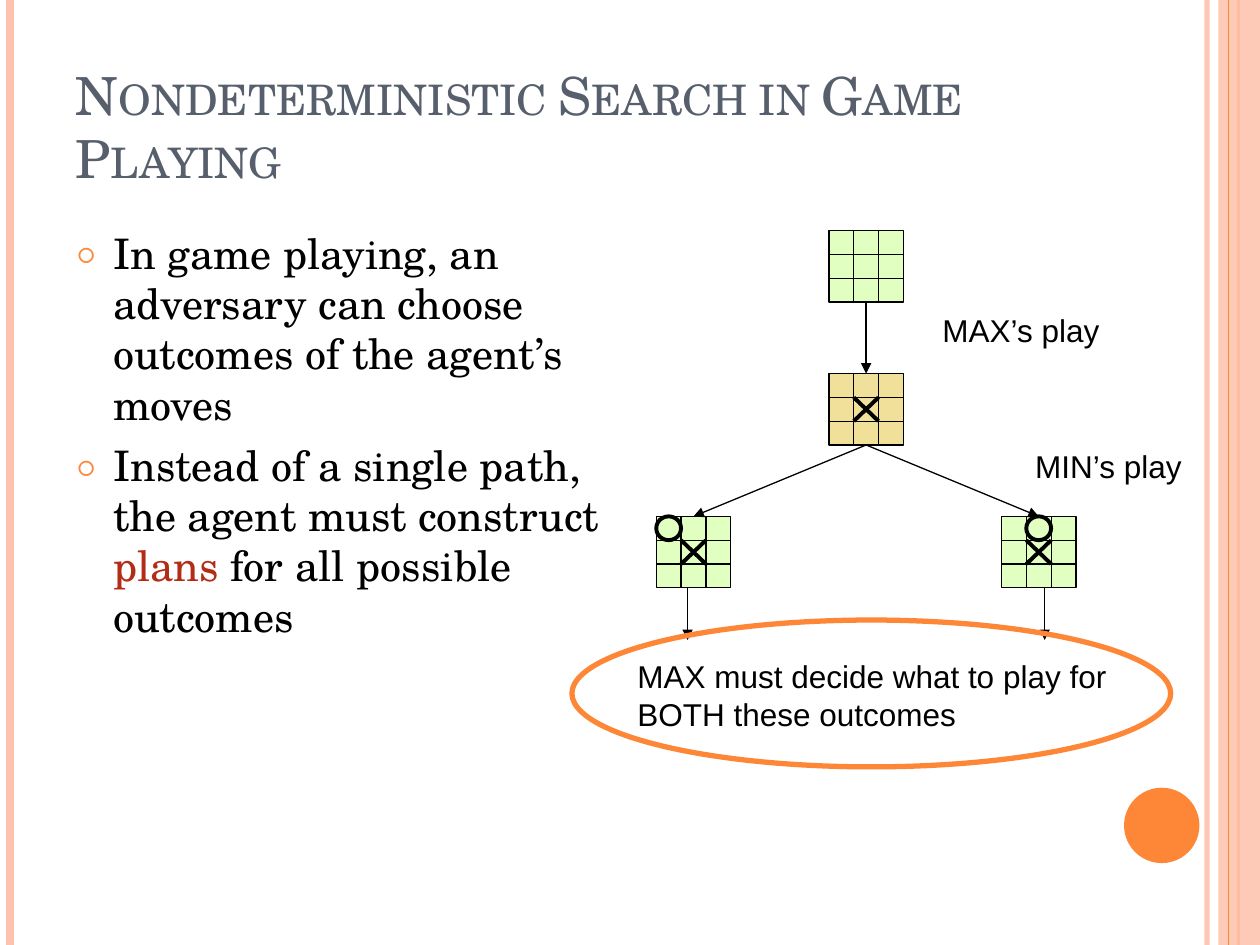
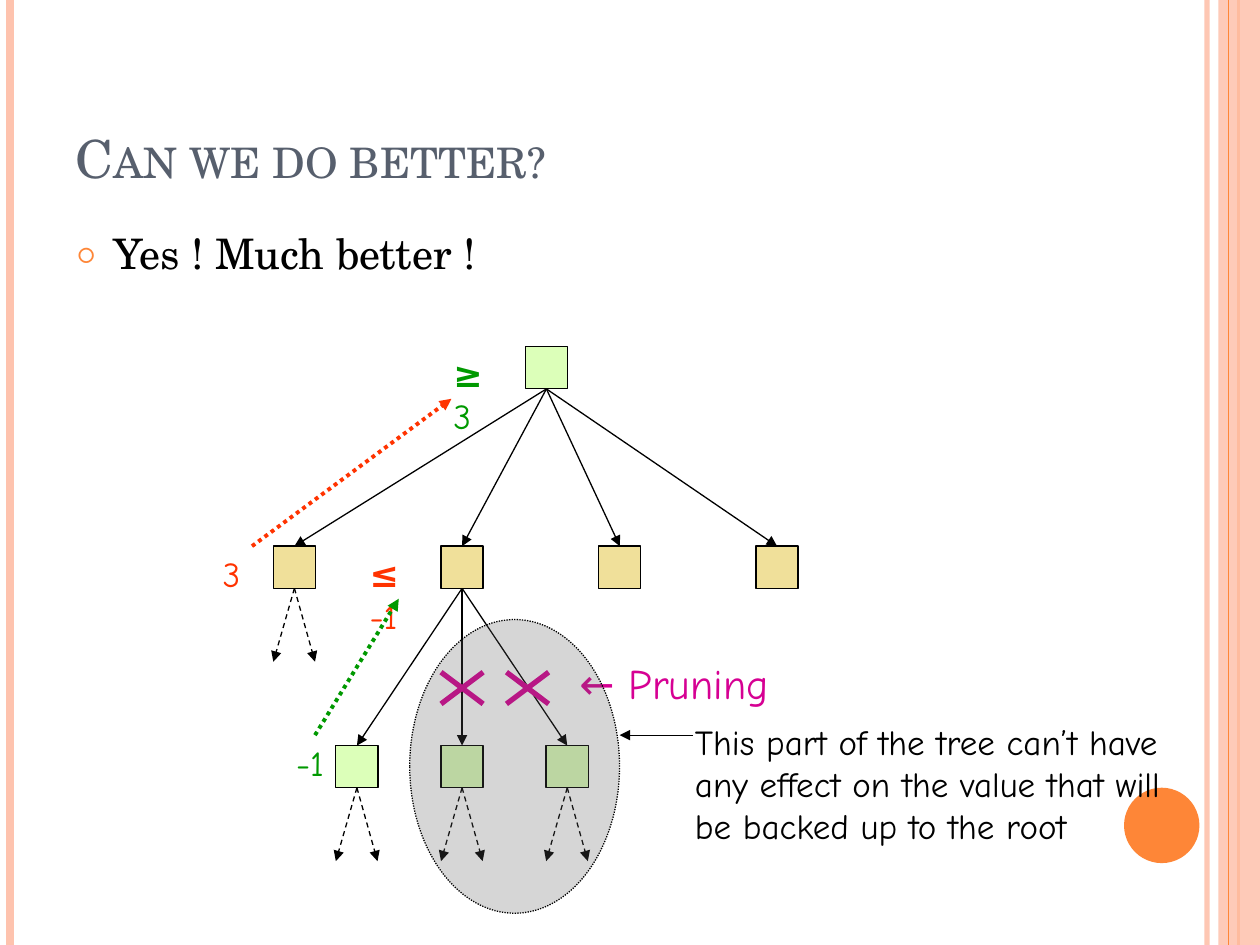
"""Build two slides on game trees: nondeterministic play and pruning."""
from lxml import etree
from pptx import Presentation
from pptx.dml.color import RGBColor
from pptx.enum.dml import MSO_LINE
from pptx.enum.shapes import MSO_CONNECTOR, MSO_SHAPE
from pptx.enum.text import MSO_ANCHOR, MSO_AUTO_SIZE, PP_ALIGN
from pptx.oxml.ns import qn
from pptx.util import Cm, Pt

RECT, OVAL = MSO_SHAPE.RECTANGLE, MSO_SHAPE.OVAL
STRAIGHT = MSO_CONNECTOR.STRAIGHT
DASH, DOT = MSO_LINE.DASH, MSO_LINE.ROUND_DOT
LEFT, TOP, BOTTOM = PP_ALIGN.LEFT, MSO_ANCHOR.TOP, MSO_ANCHOR.BOTTOM
FIXED = MSO_AUTO_SIZE.NONE

SERIF, SANS, COMIC = "TeX Gyre Schola", "Arial", "Comic Neue"
BLACK, SLATE, BRICK = "000000", "575F6D", "B32C16"
ORANGE, PEACH, SAND = "FE8637", "FEC3AE", "F0E09A"
MINT, LIME, GREY = "E0FFC1", "DCFFB9", "5F5F5F"
RED, GREEN, PINK = "FF3300", "009900", "D60093"


def hue(code):
    return RGBColor.from_string(code)


def tag(node, name, **attrs):
    return etree.SubElement(node, qn(name), attrs)


def fade(item, share):
    color = item.element.spPr.find(".//" + qn("a:srgbClr"))
    tag(color, "a:alpha", val=str(share * 1000))


class Deck:
    def __init__(self):
        self.prs = Presentation()
        self.prs.slide_width, self.prs.slide_height = Cm(25.4), Cm(19.05)
        self.page = None

    def start(self, title, points, width):
        self.page = self.prs.slides.add_slide(self.prs.slide_layouts[1])
        head, body = self.page.placeholders
        self.place(head, 1.27, 0.76, 20.75, 3.18)
        self.place(body, 1.27, 4.45, width, 13.54)
        head.text_frame.vertical_anchor = BOTTOM
        par = head.text_frame.paragraphs[0]
        self.style(par, SERIF, 30, [(title, SLATE)])
        par.runs[0]._r.get_or_add_rPr().set("cap", "small")
        frame = body.text_frame
        frame.vertical_anchor = TOP
        for i, parts in enumerate(points):
            par = frame.add_paragraph() if i else frame.paragraphs[0]
            self.style(par, SERIF, 24, parts)
            self.bullet(par)

    def place(self, item, x, y, w, h):
        item.left, item.top, item.width, item.height = Cm(x), Cm(y), Cm(w), Cm(h)
        item.text_frame.auto_size = FIXED
        item.text_frame.word_wrap = True

    def style(self, par, font, size, parts):
        par.alignment = LEFT
        for text, color, *bold in parts:
            run = par.add_run()
            run.text = text
            run.font.name, run.font.size = font, Pt(size)
            run.font.color.rgb = hue(color)
            run.font.bold = bool(bold)

    def bullet(self, par):
        par.space_before = Pt(6)
        props = par._p.get_or_add_pPr()
        props.set("marL", str(Cm(0.76)))
        props.set("indent", str(-Cm(0.76)))
        tag(tag(props, "a:buClr"), "a:srgbClr", val=ORANGE)
        tag(props, "a:buSzPct", val="70000")
        tag(props, "a:buFont", typeface=SERIF)
        tag(props, "a:buChar", char="○")

    def label(self, x, y, w, h, font, size, parts, wrap=True):
        box = self.page.shapes.add_textbox(Cm(x), Cm(y), Cm(w), Cm(h))
        box.text_frame.word_wrap = wrap
        self.style(box.text_frame.paragraphs[0], font, size, parts)

    def shape(self, kind, x, y, w, h, fill=None, line=None, width=0.75, dash=None):
        item = self.page.shapes.add_shape(kind, Cm(x), Cm(y), Cm(w), Cm(h))
        item.shadow.inherit = False
        if fill:
            item.fill.solid()
            item.fill.fore_color.rgb = hue(fill)
        else:
            item.fill.background()
        if line:
            self.pen(item.line, line, width, dash)
        else:
            item.line.fill.background()
        return item

    def pen(self, line, color, width, dash):
        line.color.rgb = hue(color)
        line.width = Pt(width)
        if dash:
            line.dash_style = dash

    def line(self, x1, y1, x2, y2, color=BLACK, width=0.75, dash=None, tip=False):
        item = self.page.shapes.add_connector(STRAIGHT, Cm(x1), Cm(y1), Cm(x2), Cm(y2))
        self.pen(item.line, color, width, dash)
        props = item.element.spPr
        if tip:
            tag(props.find(qn("a:ln")), "a:tailEnd", type="triangle")
        tag(props, "a:effectLst")
        return item

    def link(self, top, low):
        item = self.line(0, 0, 1, 1, tip=True)
        item.begin_connect(top, 2)
        item.end_connect(low, 0)

    def cross(self, x, y, w, h, color, width):
        self.line(x, y, x + w, y + h, color, width)
        self.line(x, y + h, x + w, y, color, width)

    def board(self, x, y, fill, mark=False, ring=None):
        w, h = 0.5, 0.48
        grid = self.shape(RECT, x, y, 3 * w, 3 * h, fill, BLACK)
        for i in (1, 2):
            self.line(x, y + i * h, x + 3 * w, y + i * h)
            self.line(x + i * w, y, x + i * w, y + 3 * h)
        if mark:
            self.cross(x + w, y + h, w, h, BLACK, 2.25)
        if ring is not None:
            self.shape(OVAL, x + ring * w, y, w, h, line=BLACK, width=2.25)
        return grid

    def node(self, mid, row, fill):
        return self.shape(RECT, mid - 0.42, 6.99 + 4.02 * row, 0.85, 0.85, fill, BLACK)

    def twigs(self, node, mid, row):
        y = 7.84 + 4.02 * row
        for side in (-0.42, 0.42):
            twig = self.line(mid, y, mid + side, y + 1.48, dash=DASH, tip=True)
            twig.begin_connect(node, 2)

    def bands(self):
        edge = self.line(24.33, 0, 24.33, 19.05, PEACH, 3)
        fade(edge, 93)
        left = self.line(0.2, 0, 0.2, 19.05, PEACH, 4.5)
        right = self.line(24.97, 0, 24.97, 19.05, ORANGE, 1.5)
        strip = self.shape(RECT, 24.56, 0, 0.84, 19.05, PEACH)
        fade(strip, 87)
        thin = self.line(24.77, 0, 24.77, 19.05, ORANGE)
        disc = self.shape(OVAL, 22.66, 15.88, 1.52, 1.52, ORANGE)
        tree = self.prs.slide_master.shapes.element
        for item in (edge, left, right, strip, thin, disc):
            tree.append(item.element)


def play(deck):
    deck.start("Nondeterministic Search in Game Playing", [
        [("In game playing, an adversary can choose outcomes of the agent’s moves", BLACK)],
        [("Instead of a single path, the agent must construct ", BLACK),
         ("plans", BRICK), (" for all possible outcomes", BLACK)]], 11.81)
    deck.bands()
    mid, top, step, side = 16.71, 4.65, 2.88, 3.48
    root = deck.board(mid, top, MINT)
    move = deck.board(mid, top + step, SAND, True)
    deck.link(root, move)
    for x, ring in ((mid - side, 0), (mid + side, 1)):
        deck.link(move, deck.board(x, top + 2 * step, MINT, True, ring))
    for x, y, w, h, text in (
            (18.75, 6.15, 4.24, 1.02, "MAX’s play"),
            (12.6, 13.13, 10.8, 1.78, "MAX must decide what to play for BOTH these outcomes"),
            (20.62, 8.89, 4.24, 1.02, "MIN’s play")):
        deck.label(x, y, w, h, SANS, 18, [(text, BLACK)])
    for x in (13.86, 21.06):
        deck.line(x, 11.85, x, 12.9, tip=True)
    deck.shape(OVAL, 11.53, 12.5, 12.07, 2.96, line=ORANGE, width=3)


def prune(deck):
    deck.start("Can we do better?", [[("Yes ! Much better !", BLACK)]], 20.75)
    root = deck.node(11.01, 0, LIME)
    mids = (5.93, 9.31, 12.49, 15.66)
    kids = [deck.node(mid, 1, SAND) for mid in mids]
    for kid in kids:
        deck.link(root, kid)
    deck.twigs(kids[0], mids[0], 1)
    for i in (-1, 0, 1):
        mid = mids[1] + 2.12 * i
        leaf = deck.node(mid, 2, LIME)
        deck.link(kids[1], leaf)
        deck.twigs(leaf, mid, 2)
    deck.label(4.24, 11.01, 0.94, 1.1, COMIC, 20, [("3", RED)], False)
    deck.label(5.72, 14.82, 1.12, 1.1, COMIC, 20, [("-1", GREEN)], False)
    for x in (8.89, 10.21):
        deck.cross(x, 13.55, 0.85, 0.64, PINK, 3)
    deck.label(11.43, 13.12, 4.47, 1.27, COMIC, 24, [("← Pruning", PINK)], False)
    deck.label(7.2, 11.01, 1.4, 1.1, COMIC, 20, [("≤ ", RED, True), ("-1", RED)])
    deck.line(6.35, 14.82, 8.04, 12.07, GREEN, 2.25, DOT, True)
    deck.label(8.89, 6.99, 1.4, 1.1, COMIC, 20, [("≥ ", GREEN, True), ("3", GREEN)])
    deck.line(5.08, 11.01, 9.1, 8.04, RED, 2.25, DOT, True)
    cut = deck.shape(OVAL, 8.26, 12.49, 4.23, 5.92, GREY, BLACK, dash=DOT)
    fade(cut, 25)
    deck.label(13.76, 14.39, 10.8, 3.63, COMIC, 20, [(
        "This part of the tree can’t have any effect on the value "
        "that will be backed up to the root", BLACK)])
    deck.line(13.97, 14.82, 12.49, 14.82, tip=True)


def main():
    deck = Deck()
    play(deck)
    prune(deck)
    deck.prs.save("out.pptx")


if __name__ == "__main__":
    main()
